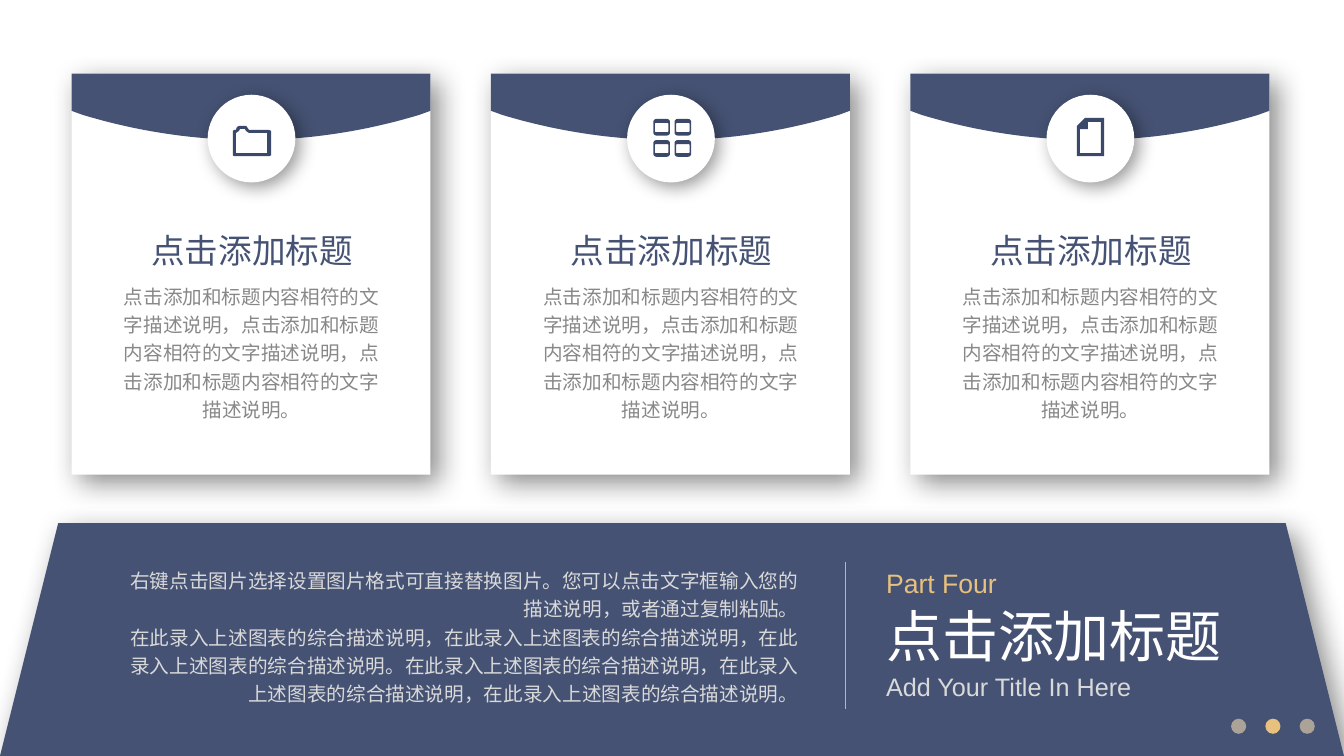
from math import cos, pi, sin
from lxml import etree
from pptx import Presentation
from pptx.dml.color import RGBColor
from pptx.enum.shapes import MSO_CONNECTOR, MSO_SHAPE as SHAPE
from pptx.enum.text import MSO_AUTO_SIZE as AUTO, PP_ALIGN as ALIGN
from pptx.oxml.ns import qn
from pptx.util import Inches, Pt

NAVY, ICON, GOLD, PALE_GOLD = "455273", "3A486A", "E7C17D", "F1DAB1"
WHITE, GREY, LIGHT, RULE = "FFFFFF", "888888", "D9D9D9", "AEB7CE"

CARD_TITLE = "点击添加标题"
CARD_BODY = ("点击添加和标题内容相符的文字描述说明，点击添加和标题内容相符的文字描述说明，"
             "点击添加和标题内容相符的文字描述说明。")
SUMMARY = [
    "右键点击图片选择设置图片格式可直接替换图片。您可以点击文字框输入您的描述说明，或者通过复制粘贴。",
    "在此录入上述图表的综合描述说明，在此录入上述图表的综合描述说明，在此录入上述图表的综合描述说明。"
    "在此录入上述图表的综合描述说明，在此录入上述图表的综合描述说明，在此录入上述图表的综合描述说明。",
]
HEADINGS = [  # text, box, format, wrap
    ("Part Four", (8.69, 5.57, 1.32, 0.42), dict(size=19, color=GOLD), False),
    ("点击添加标题", (8.69, 5.92, 5.09, 0.77), dict(size=40, color=WHITE), True),
    ("Add Your Title In Here", (8.69, 6.61, 2.66, 0.4), dict(size=18, color=LIGHT), False),
]
DOTS = [(PALE_GOLD, 60), (GOLD, 100), (PALE_GOLD, 60)]

CARD_LEFT, CARD_TOP, CARD_W, CARD_H, PITCH = 0.71, 0.73, 3.56, 3.98, 4.16
CARD_SHADOW = dict(alpha=45, blur=20, dist=8)
DISC_SHADOW = dict(alpha=40, blur=13, dist=5)


def rounded(left, top, w, h, radius, steps=4):
    """Points round a rectangle with rounded corners."""
    corners = [(left + w - radius, top + h - radius), (left + radius, top + h - radius),
               (left + radius, top + radius), (left + w - radius, top + radius)]
    return [(cx + radius * cos((k + n / steps) * pi / 2), cy + radius * sin((k + n / steps) * pi / 2))
            for k, (cx, cy) in enumerate(corners) for n in range(steps + 1)]


def bezier(p0, p1, p2, p3, steps=24):
    def at(t):
        u = 1 - t
        return tuple(u**3 * a + 3 * u * u * t * b + 3 * u * t * t * c + t**3 * d
                     for a, b, c, d in zip(p0, p1, p2, p3))
    return [at(n / steps) for n in range(steps + 1)]


# Outlines are measured from the top left corner of a card.
half_curve = [(0, 0.37)] + bezier((0.11, 0.41), (0.64, 0.57), (1.2, 0.66), (CARD_W / 2, 0.66))
HEADER = [[(0, 0)] + half_curve + [(CARD_W - x, y) for x, y in half_curve[-2::-1]] + [(CARD_W, 0)]]
FOLDER = [
    [(1.6, 0.57), (1.61, 0.56), (1.63, 0.56), (1.64, 0.53), (1.66, 0.52), (1.73, 0.52),
     (1.74, 0.53), (1.76, 0.56), (1.96, 0.56), (1.98, 0.57), (1.98, 0.81), (1.96, 0.82),
     (1.61, 0.82), (1.6, 0.81)],
    [(1.63, 0.79), (1.63, 0.59), (1.66, 0.57), (1.67, 0.55), (1.72, 0.55), (1.73, 0.57),
     (1.76, 0.59), (1.94, 0.59), (1.94, 0.79)],
]
TILES = [[rounded(x, y, 0.165, 0.165, 0.03), rounded(x + 0.015, y + 0.04, 0.135, 0.09, 0.01)]
         for y in (0.45, 0.66) for x in (1.61, 1.82)]
PAGE = [
    [(1.92, 0.44), (1.92, 0.82), (1.65, 0.82), (1.65, 0.52), (1.73, 0.44)],
    [(1.89, 0.48), (1.76, 0.48), (1.76, 0.55), (1.68, 0.55), (1.68, 0.79), (1.89, 0.79)],
]
ICONS = [[FOLDER], TILES, [PAGE]]


def rgb(value):
    return RGBColor.from_string(value)


def paint(sp, color, alpha=100, shadow=None):
    sp.shadow.inherit = False
    sp.fill.solid()
    sp.fill.fore_color.rgb = rgb(color)
    sp.line.fill.background()
    if alpha < 100:
        clr = sp._element.spPr.find(".//" + qn("a:srgbClr"))
        etree.SubElement(clr, qn("a:alpha"), val=str(alpha * 1000))
    if shadow:
        effects = sp._element.spPr.find(qn("a:effectLst"))
        outer = etree.SubElement(effects, qn("a:outerShdw"), blurRad=str(Pt(shadow["blur"])),
                                 dist=str(Pt(shadow["dist"])), dir=str(45 * 60000),
                                 algn="tl", rotWithShape="0")
        clr = etree.SubElement(outer, qn("a:srgbClr"), val="000000")
        etree.SubElement(clr, qn("a:alpha"), val=str(shadow["alpha"] * 1000))


def add_shape(shapes, kind, box, color, **look):
    paint(shapes.add_shape(kind, *map(Inches, box)), color, **look)


def add_outline(shapes, contours, left, top, color):
    """Draw contours as one shape; inner ones become holes."""
    moved = [[(Inches(left + x), Inches(top + y)) for x, y in pts] for pts in contours]
    builder = shapes.build_freeform(*moved[0][0], scale=1.0)
    for n, pts in enumerate(moved):
        if n:
            builder.move_to(*pts[0])
        builder.add_line_segments(pts[1:], close=True)
    paint(builder.convert_to_shape(), color)


def add_text(shapes, paragraphs, box, size, color, align=ALIGN.LEFT, spacing=None, wrap=True):
    tf = shapes.add_textbox(*map(Inches, box)).text_frame
    tf.word_wrap, tf.auto_size = wrap, AUTO.SHAPE_TO_FIT_TEXT
    for n, text in enumerate(paragraphs):
        p = tf.add_paragraph() if n else tf.paragraphs[0]
        p.alignment, p.line_spacing = align, spacing
        r = p.add_run()
        r.text = text
        for name, value in dict(name="Arial", size=Pt(size)).items():
            setattr(r.font, name, value)
        r.font.color.rgb = rgb(color)


def add_card(shapes, left, icon):
    group = shapes.add_group_shape().shapes
    add_shape(group, SHAPE.RECTANGLE, (left, CARD_TOP, CARD_W, CARD_H), WHITE, shadow=CARD_SHADOW)
    add_outline(group, HEADER, left, CARD_TOP, NAVY)
    add_shape(group, SHAPE.OVAL, (left + 1.35, 0.94, 0.87, 0.87), WHITE, shadow=DISC_SHADOW)
    for contours in icon:
        add_outline(group, contours, left, CARD_TOP, ICON)
    add_text(shapes, [CARD_TITLE], (left + 0.68, 2.23, 2.22, 0.5), 24, NAVY, ALIGN.CENTER, wrap=False)
    add_text(shapes, [CARD_BODY], (left + 0.39, 2.73, 2.79, 1.51), 14, GREY, ALIGN.CENTER, 1.2)


def main():
    prs = Presentation()
    prs.slide_width, prs.slide_height = Inches(13.33), Inches(7.5)
    shapes = prs.slides.add_slide(prs.slide_layouts[6]).shapes
    for n, icon in enumerate(ICONS):
        add_card(shapes, CARD_LEFT + n * PITCH, icon)

    add_shape(shapes, SHAPE.TRAPEZOID, (0, 5.19, 13.33, 2.31), NAVY, shadow=CARD_SHADOW)
    for text, box, look, wrap in HEADINGS:
        add_text(shapes, [text], box, wrap=wrap, **look)
    add_text(shapes, SUMMARY, (1.1, 5.55, 6.92, 1.51), 14, LIGHT, ALIGN.RIGHT, 1.2)

    divider = shapes.add_connector(MSO_CONNECTOR.STRAIGHT, *map(Inches, (8.38, 5.58, 8.38, 7.03)))
    divider.line.color.rgb = rgb(RULE)
    divider.line.width = Pt(0.5)
    etree.SubElement(divider._element.spPr, qn("a:effectLst"))

    for n, (color, alpha) in enumerate(DOTS):
        add_shape(shapes, SHAPE.OVAL, (12.21 + n * 0.34, 7.13, 0.15, 0.15), color, alpha=alpha)
    prs.save("out.pptx")


if __name__ == "__main__":
    main()
